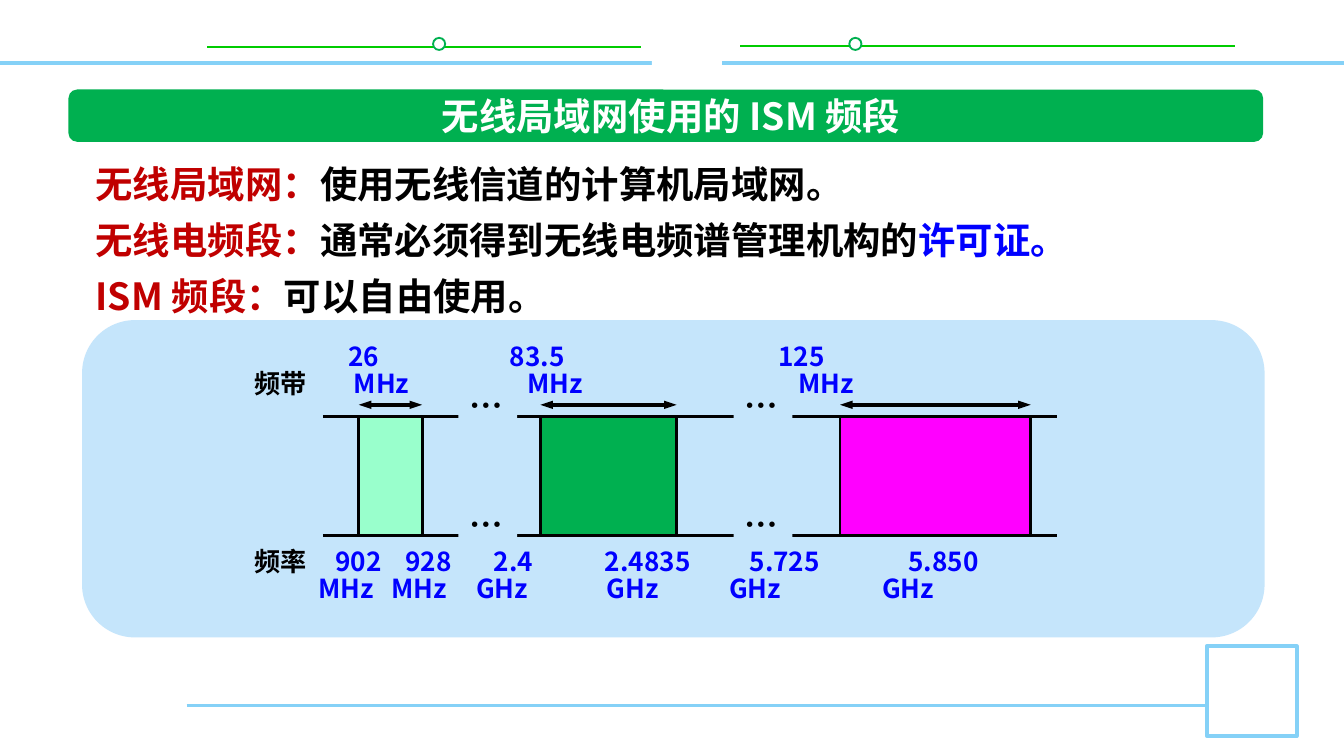
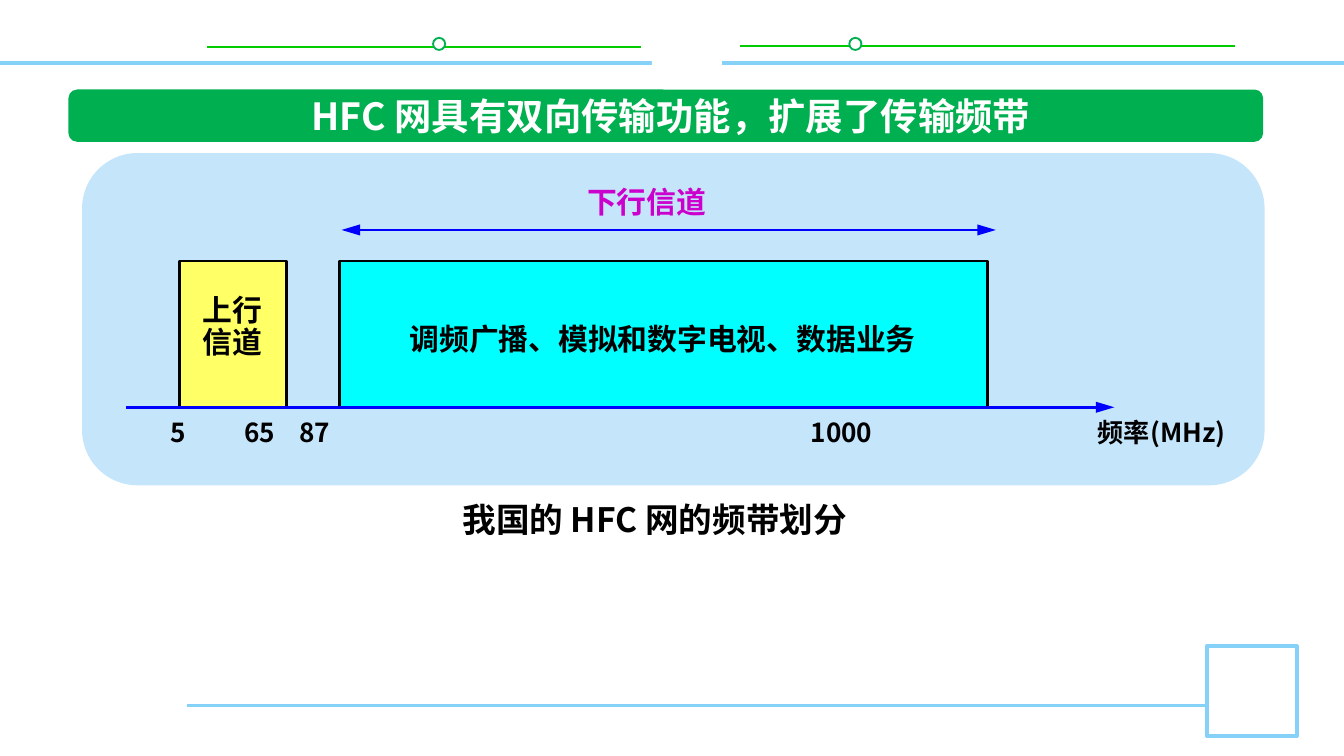
from dataclasses import dataclass
from typing import Any, NamedTuple, Optional, Sequence

from pptx import Presentation
from pptx.dml.color import RGBColor
from pptx.enum.shapes import MSO_CONNECTOR as Conn, MSO_SHAPE as Shape
from pptx.enum.text import MSO_ANCHOR as Anchor, MSO_AUTO_SIZE as AutoSize, PP_ALIGN as Align
from pptx.oxml.ns import qn
from pptx.oxml.xmlchemy import OxmlElement
from pptx.util import Pt


@dataclass(frozen=True)
class Theme:
    font: str = "Noto Sans CJK SC"
    white: str = "FFFFFF"
    black: str = "000000"
    green: str = "00B050"
    bright_green: str = "00CC00"
    sky: str = "85D1F7"
    panel: str = "C5E5FB"
    red: str = "C00000"
    blue: str = "0000FF"
    purple: str = "CC00CC"
    mint: str = "99FFCC"
    magenta: str = "FF00FF"
    yellow: str = "FFFF66"
    cyan: str = "00FFFF"
    title: float = 20
    caption: float = 18
    label: float = 16
    scale: float = 14


T = Theme()


class Box(NamedTuple):
    x: float
    y: float
    w: float
    h: float


class Run(NamedTuple):
    text: str
    color: str = T.black


class Para(NamedTuple):
    runs: Sequence[Run]
    tabs: Sequence[float] = ()


class Outline(NamedTuple):
    color: str
    width: float


class Arrow(NamedTuple):
    ends: Sequence[str]
    width: str
    length: str


class Band(NamedTuple):
    x: float
    w: float
    color: str


def assign(obj: Any, **fmt: Any) -> None:
    for name, value in fmt.items():
        setattr(obj, name, value)


def place(shape: Any, box: Box) -> None:
    assign(shape, left=Pt(box.x), top=Pt(box.y), width=Pt(box.w), height=Pt(box.h))


def add_box(s: Any, kind: Any, box: Box, fill: str, outline: Optional[Outline] = None,
            radius: Optional[float] = None) -> Any:
    sp = s.shapes.add_shape(kind, *map(Pt, box))
    sp.shadow.inherit = False
    sp.fill.solid()
    sp.fill.fore_color.rgb = RGBColor.from_string(fill)
    if outline:
        sp.line.color.rgb = RGBColor.from_string(outline.color)
        sp.line.width = Pt(outline.width)
    else:
        sp.line.fill.background()
    if radius is not None:
        sp.adjustments[0] = radius
    return sp


def add_line(s: Any, x1: float, x2: float, y: float, outline: Outline,
             arrow: Optional[Arrow] = None) -> Any:
    cx = s.shapes.add_connector(Conn.STRAIGHT, Pt(x1), Pt(y), Pt(x2), Pt(y))
    cx.line.color.rgb = RGBColor.from_string(outline.color)
    cx.line.width = Pt(outline.width)
    if arrow:
        ln = cx.line._get_or_add_ln()
        for end in arrow.ends:
            tip = OxmlElement(f"a:{end}")
            for key, value in {"type": "triangle", "w": arrow.width, "len": arrow.length}.items():
                tip.set(key, value)
            ln.append(tip)
    cx._element.spPr.append(OxmlElement("a:effectLst"))
    return cx


def write(tf: Any, paras: Sequence[Para], size: float, align: Any = Align.LEFT,
          spacing: Any = None) -> None:
    for i, para in enumerate(paras):
        p = tf.paragraphs[0] if i == 0 else tf.add_paragraph()
        assign(p, alignment=align, line_spacing=spacing, space_before=Pt(0))
        if para.tabs:
            stops = OxmlElement("a:tabLst")
            for pos in para.tabs:
                stop = OxmlElement("a:tab")
                stop.set("pos", str(Pt(pos)))
                stop.set("algn", "l")
                stops.append(stop)
            p._p.get_or_add_pPr().append(stops)
        for run in para.runs:
            r = p.add_run()
            r.text = run.text
            assign(r.font, name=T.font, size=Pt(size), bold=True)
            r.font.color.rgb = RGBColor.from_string(run.color)
            ea = OxmlElement("a:ea")
            ea.set("typeface", T.font)
            r._r.get_or_add_rPr().find(qn("a:latin")).addnext(ea)


def add_text(s: Any, box: Box, paras: Sequence[Para], size: float, align: Any = Align.LEFT,
             spacing: Any = None, wrap: bool = True, anchor: Any = Anchor.TOP) -> None:
    tf = s.shapes.add_textbox(*map(Pt, box)).text_frame
    assign(tf, word_wrap=wrap, vertical_anchor=anchor)
    write(tf, paras, size, align, spacing)


def set_title(s: Any, text: str) -> None:
    title = s.shapes.title
    place(title, Box(98.5, 48, 522, 28))
    tf = title.text_frame
    assign(tf, word_wrap=True, auto_size=AutoSize.NONE, vertical_anchor=Anchor.MIDDLE,
           margin_top=0, margin_bottom=0)
    write(tf, [Para([Run(text, T.white)])], T.title, Align.CENTER)


def set_list(s: Any, box: Box, paras: Sequence[Para]) -> None:
    body = s.placeholders[1]
    place(body, box)
    tf = body.text_frame
    assign(tf, word_wrap=True, auto_size=AutoSize.NONE, vertical_anchor=Anchor.TOP)
    write(tf, paras, T.title, spacing=Pt(30))
    for p in tf.paragraphs:
        pPr = p._p.get_or_add_pPr()
        pPr.set("marL", "0")
        pPr.set("indent", "0")
        pPr.append(OxmlElement("a:buNone"))


def build_master(prs: Any, s: Any) -> None:
    parts = []
    for x1, x2, y, dot in ((111, 343.5, 25, 232), (396.5, 661.5, 24.5, 455)):
        parts.append(add_line(s, x1, x2, y, Outline(T.bright_green, 1)))
        parts.append(add_box(s, Shape.OVAL, Box(dot, 20.3, 6.5, 6.5), T.white, Outline(T.green, 1)))
    parts += [
        add_line(s, 100, 646.5, 378, Outline(T.sky, 1.5)),
        add_box(s, Shape.RECTANGLE, Box(646.5, 346.2, 48.2, 48.2), T.white, Outline(T.sky, 2)),
        add_line(s, 0, 720, 33.8, Outline(T.sky, 2)),
        add_box(s, Shape.RECTANGLE, Box(349.2, 10, 37.5, 37), T.white),
        add_box(s, Shape.ROUNDED_RECTANGLE, Box(36.7, 48, 640, 28), T.green, radius=0.167),
    ]
    for number, part in enumerate(parts, 101):
        part._element.xpath(".//p:cNvPr")[0].set("id", str(number))
        prs.slide_master.shapes._spTree.append(part._element)


def add_panel(s: Any, y: float, h: float) -> None:
    add_box(s, Shape.ROUNDED_RECTANGLE, Box(44, y, 633.5, h), T.panel)


def build_ism(s: Any) -> None:
    set_title(s, "无线局域网使用的 ISM 频段")
    set_list(s, Box(44, 77, 633.5, 98), [
        Para([Run("无线局域网：", T.red), Run("使用无线信道的计算机局域网。")]),
        Para([Run("无线电频段：", T.red), Run("通常必须得到无线电频谱管理机构的"),
              Run("许可证。", T.blue)]),
        Para([Run("ISM 频段：", T.red), Run("可以自由使用。")]),
    ])
    add_panel(s, 171.5, 170)
    add_text(s, Box(129, 181.5, 445, 36), [
        Para([Run("\t26\t83.5\t125", T.blue)], (50.5, 137, 281)),
        Para([Run("频带"), Run("\tMHz\tMHz\tMHz", T.blue)], (53.5, 146.5, 291.5)),
    ], T.scale, spacing=0.85)
    add_text(s, Box(129, 291.5, 459, 36), [
        Para([Run("频率"), Run("\t902\t928\t2.4\t2.4835\t5.725\t5.850", T.blue)],
             (43.5, 81, 128.5, 188, 265.5, 350.5)),
        Para([Run("\tMHz\tMHz\tGHz\tGHz\tGHz\tGHz", T.blue)],
             (34.5, 73.5, 119, 189, 254.5, 336.5)),
    ], T.scale, spacing=0.85)
    edge = Outline(T.black, 1.5)
    top, bottom = 223.2, 287
    for y in (top, bottom):
        add_line(s, 173, 566.5, y, edge)
    both = Arrow(("headEnd", "tailEnd"), "sm", "med")
    for band in (Band(192.2, 34, T.mint), Band(289.5, 73, T.green), Band(450, 102.2, T.magenta)):
        add_box(s, Shape.RECTANGLE, Box(band.x, top, band.w, bottom - top), band.color, edge)
        add_line(s, band.x, band.x + band.w, 216.9, Outline(T.black, 2.25), both)
    for x in (245.5, 393):
        for y in (bottom, top):
            add_box(s, Shape.RECTANGLE, Box(x, y - 6, 31.5, 12), T.panel)
            add_text(s, Box(x - 1, y - 20.5, 32.5, 29), [Para([Run("…")])], T.caption, wrap=False)


def build_hfc(s: Any) -> None:
    set_title(s, "HFC 网具有双向传输功能，扩展了传输频带")
    add_panel(s, 82, 178)
    add_line(s, 183, 533.5, 123.2, Outline(T.blue, 1.5),
             Arrow(("headEnd", "tailEnd"), "med", "lg"))
    add_text(s, Box(303, 93.5, 87, 29), [Para([Run("下行信道", T.purple)])], T.label,
             Align.CENTER, anchor=Anchor.MIDDLE)
    axis, top = 218.2, 139.8
    for band in (Band(96, 57.5, T.yellow), Band(182, 347.2, T.cyan)):
        add_box(s, Shape.RECTANGLE, Box(band.x, top, band.w, axis - top), band.color,
                Outline(T.black, 1.5))
    add_text(s, Box(101.5, 154.8, 54, 42.5), [Para([Run("上行")]), Para([Run("信道")])],
             T.label, spacing=0.9)
    add_text(s, Box(212.4, 168.5, 289.5, 26.5),
             [Para([Run("调频广播、模拟和数字电视、数据业务")])], T.label, wrap=False)
    add_text(s, Box(84.2, 219.6, 489, 24.5),
             [Para([Run("5\t65\t87\t1000")], (39.5, 69, 343))], T.scale)
    add_text(s, Box(581, 219.6, 87, 24.5), [Para([Run("频率(MHz)")])], T.scale, wrap=False)
    add_line(s, 67.5, 597, axis, Outline(T.blue, 1.5), Arrow(("tailEnd",), "med", "lg"))
    add_text(s, Box(230.5, 263.5, 240.5, 29), [Para([Run("我国的 HFC 网的频带划分")])],
             T.caption, Align.CENTER)


def main() -> None:
    prs = Presentation()
    assign(prs, slide_width=Pt(720), slide_height=Pt(405))
    ism = prs.slides.add_slide(prs.slide_layouts[1])
    build_master(prs, ism)
    build_ism(ism)
    build_hfc(prs.slides.add_slide(prs.slide_layouts[5]))
    prs.save("out.pptx")


if __name__ == "__main__":
    main()
